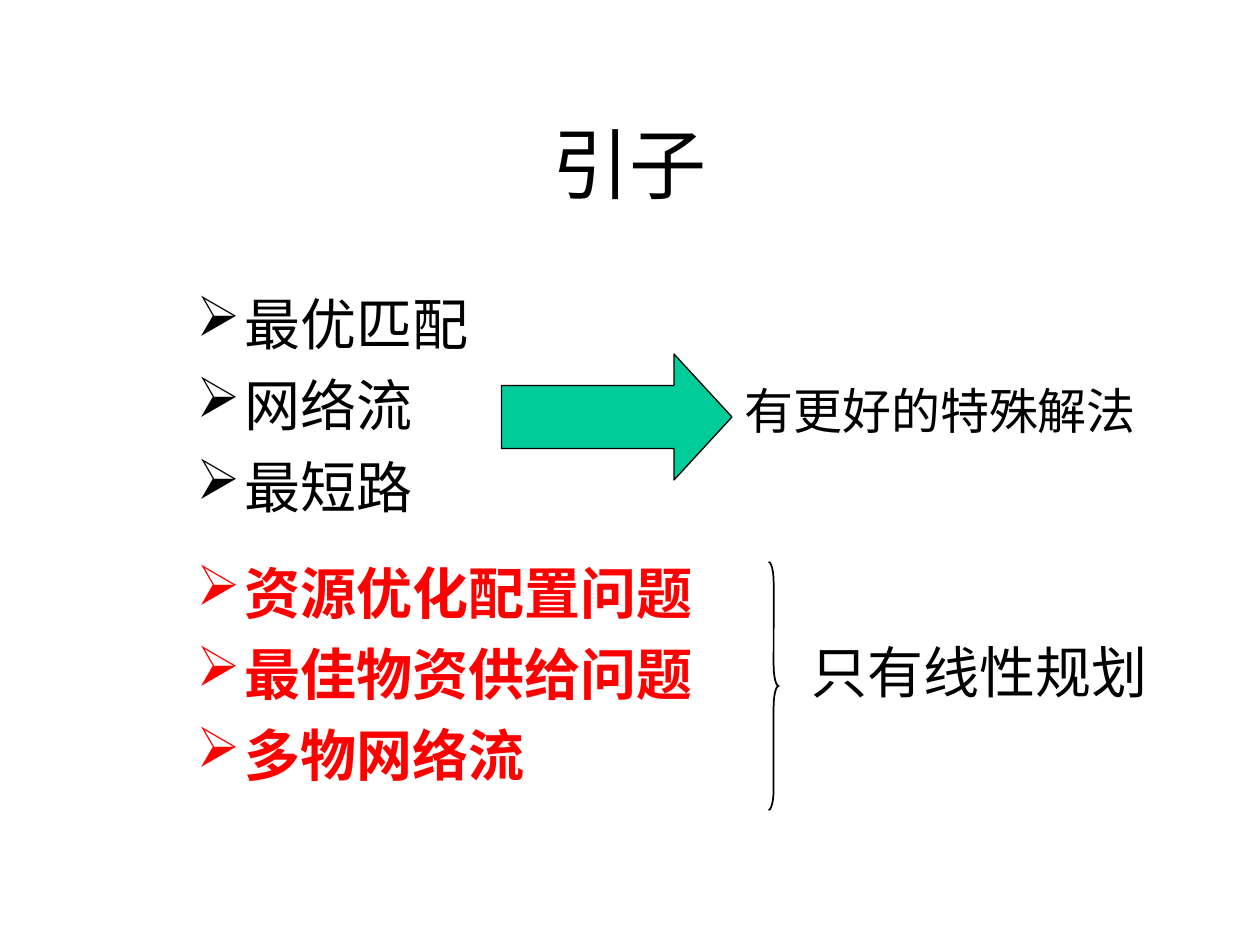
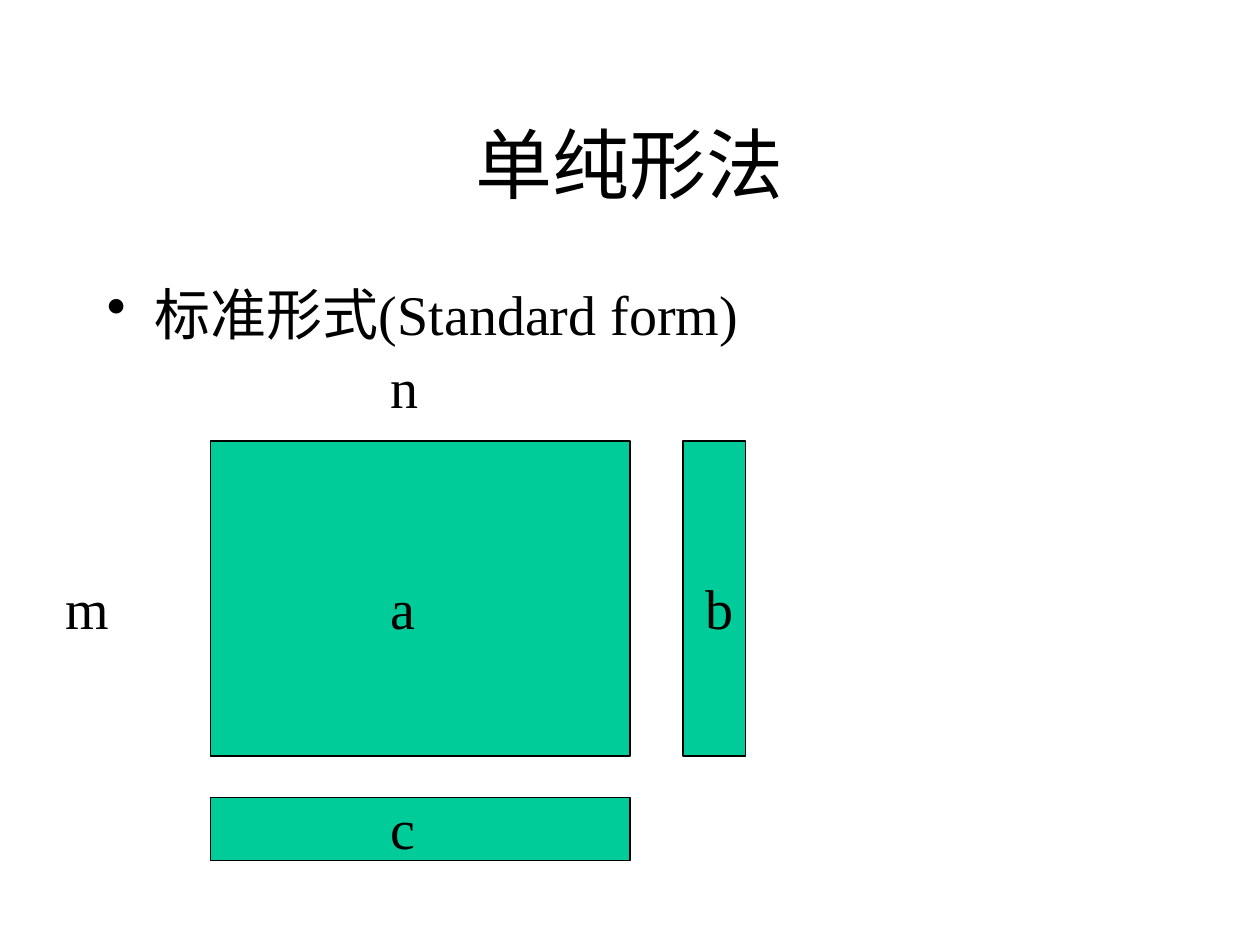
from lxml.etree import SubElement
from pptx import Presentation
from pptx.dml.color import RGBColor
from pptx.enum.shapes import MSO_SHAPE as Shape
from pptx.enum.text import MSO_ANCHOR as Anchor, PP_ALIGN as Align
from pptx.oxml.ns import qn
from pptx.util import Inches, Pt

BLACK = RGBColor(0, 0, 0)
RED = RGBColor(255, 0, 0)
GREEN = RGBColor(0, 0xCC, 0x99)
FACE = "Times New Roman"
WIDE, HIGH = 10, 7.5

# Content: lists are (left, top, width, height), bullet, look, lines
SOLVED = ["最优匹配", "网络流", "最短路"]
HARD = ["资源优化配置问题", "最佳物资供给问题", "多物网络流"]
PLAIN = {"size": Pt(32), "bold": False}
STRONG = {"size": Pt(32), "bold": True}
SMALL = {"size": Pt(28), "bold": False}
HEAD = {"size": Pt(44), "bold": False}

INTRO = {
    "title": "引子",
    "lists": [
        ((1.46, 2.25, 2.52, 2.05), "➢", PLAIN, BLACK, SOLVED),
        ((1.46, 4.38, 4.25, 2.05), "➢", STRONG, RED, HARD),
    ],
    "notes": [
        ((5.81, 2.97, 3.44, 0.57), SMALL, "有更好的特殊解法"),
        ((6.34, 5.01, 3.15, 0.64), PLAIN, "只有线性规划"),
    ],
    "shapes": [
        (Shape.RIGHT_ARROW, (3.98, 2.81, 1.83, 1), GREEN, 0.75, (0.5, 0.46)),
        (Shape.RIGHT_BRACE, (6.1, 4.46, 0.08, 1.97), None, 1, (2.05, 0.5)),
    ],
}

# The tableau: a is m by n, b stands to its right, c lies below it
LEFT, TOP, COLS, ROWS, THIN = 1.67, 3.5, 3.33, 2.5, 0.5
RIGHT, BELOW = 5.42, 6.33
MID, LINE = 3, 4.5
BLOCKS = [
    (LEFT, TOP, COLS, ROWS),
    (RIGHT, TOP, THIN, ROWS),
    (LEFT, BELOW, COLS, THIN),
]
MARKS = {
    "m": (0.42, LINE),
    "n": (MID, 2.75),
    "a": (MID, LINE),
    "b": (5.5, LINE),
    "c": (MID, 6.25),
}
SIMPLEX = {
    "title": "单纯形法",
    "lists": [
        ((0.75, 2.17, 8.5, 4.5), "•", PLAIN, BLACK,
         ["标准形式(Standard form)"]),
    ],
    "notes": [((*spot, 0.67, 0.64), PLAIN, mark)
              for mark, spot in MARKS.items()],
    "shapes": [(Shape.RECTANGLE, box, GREEN, 0.75, ()) for box in BLOCKS],
}


def place(box):
    return [Inches(n) for n in box]


def write(para, text, look, color=BLACK):
    run = para.add_run()
    run.text = text
    for key, value in {"name": FACE, **look}.items():
        setattr(run.font, key, value)
    run.font.color.rgb = color


def bullet(para, sign, color):
    """Give the paragraph a hanging bullet in the given colour."""
    props = para._p.get_or_add_pPr()
    hang = Inches(0.38)
    props.set("marL", str(hang))
    props.set("indent", str(-hang))
    tint = SubElement(props, qn("a:buClr"))
    SubElement(tint, qn("a:srgbClr")).set("val", str(color))
    SubElement(props, qn("a:buChar")).set("char", sign)


def add_text(slide, box, lines, look, color=BLACK, sign=None):
    frame = slide.shapes.add_textbox(*place(box)).text_frame
    frame.word_wrap = True
    for i, line in enumerate(lines):
        para = frame.paragraphs[0] if i == 0 else frame.add_paragraph()
        para.space_before = Pt(8) if sign else look["size"] * 5 // 8
        if sign:
            bullet(para, sign, color)
        write(para, line, look, color)


def add_figure(slide, kind, box, fill, weight, bends):
    part = slide.shapes.add_shape(kind, *place(box))
    part.shadow.inherit = False
    if fill is None:
        part.fill.background()
    else:
        part.fill.solid()
        part.fill.fore_color.rgb = fill
    part.line.color.rgb = BLACK
    part.line.width = Pt(weight)
    for i, bend in enumerate(bends):
        part.adjustments[i] = bend


def add_title(slide, text):
    title = slide.shapes.title
    spot = place((0.75, 0.67, WIDE - 1.5, 1.25))
    for key, value in zip(("left", "top", "width", "height"), spot):
        setattr(title, key, value)
    frame = title.text_frame
    frame.vertical_anchor = Anchor.MIDDLE
    para = frame.paragraphs[0]
    para.alignment = Align.CENTER
    write(para, text, HEAD)


def build(deck, page):
    slide = deck.slides.add_slide(deck.slide_layouts[5])
    add_title(slide, page["title"])
    for box, sign, look, color, lines in page["lists"]:
        add_text(slide, box, lines, look, color, sign)
    for figure in page["shapes"]:
        add_figure(slide, *figure)
    for box, look, text in page["notes"]:
        add_text(slide, box, [text], look)


def main():
    deck = Presentation()
    deck.slide_width, deck.slide_height = place((WIDE, HIGH))
    for page in (INTRO, SIMPLEX):
        build(deck, page)
    deck.save("out.pptx")


if __name__ == "__main__":
    main()
